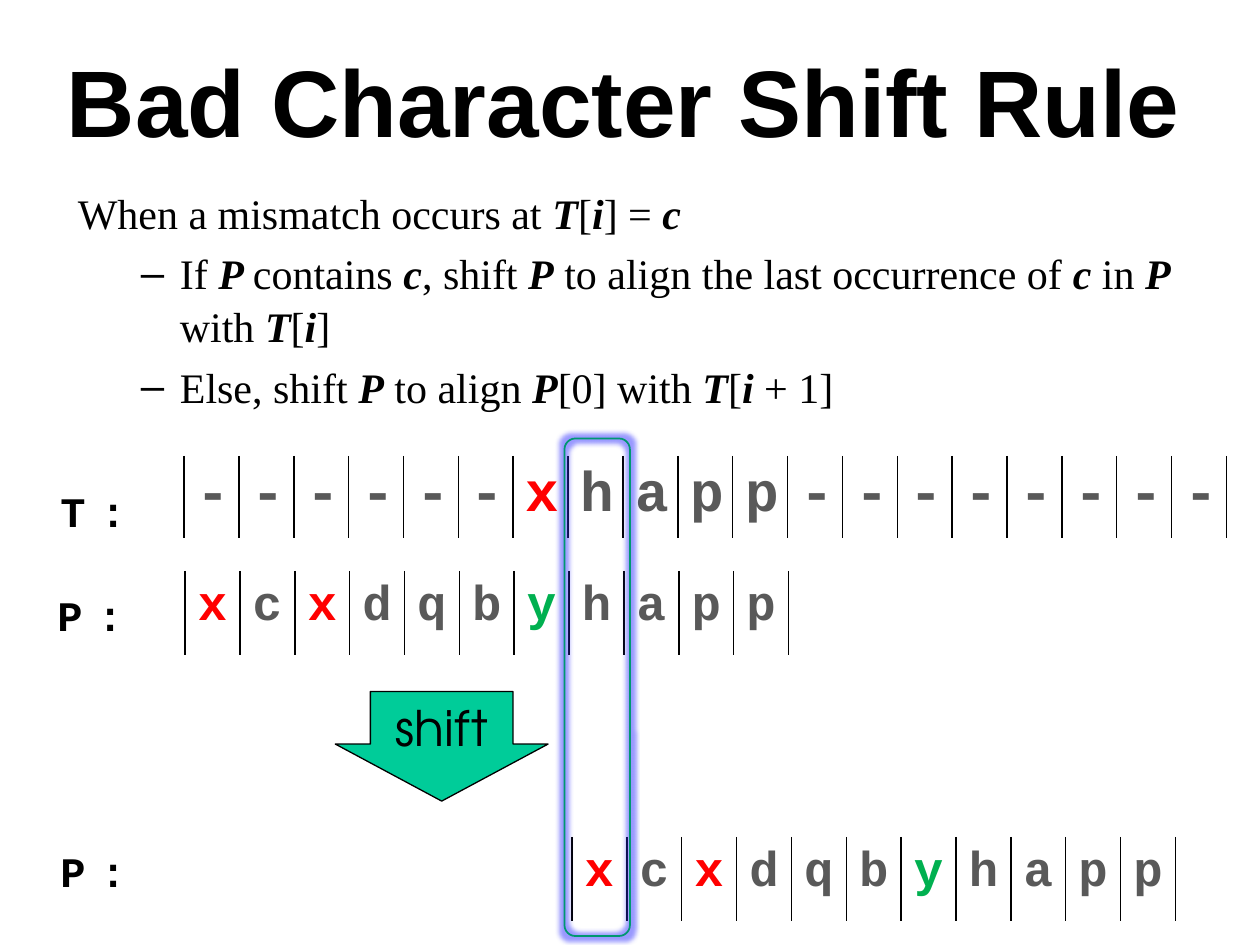
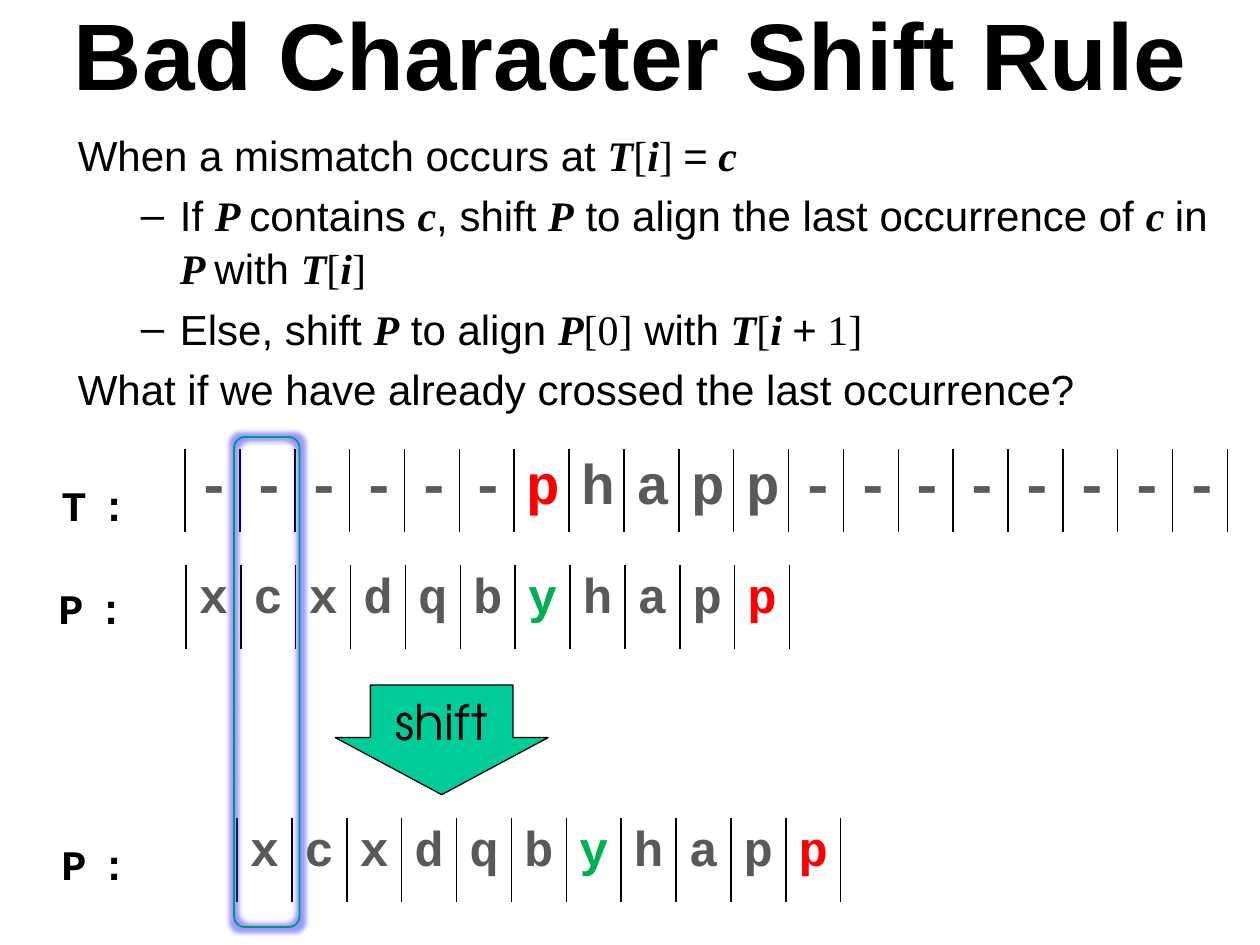
from dataclasses import dataclass

from lxml import etree
from pptx import Presentation
from pptx.dml.color import RGBColor as RGB
from pptx.enum.shapes import MSO_SHAPE as SHAPE
from pptx.enum.text import MSO_ANCHOR as ANCHOR, PP_ALIGN as ALIGN
from pptx.oxml import parse_xml
from pptx.oxml.ns import nsdecls, qn
from pptx.util import Cm, Pt


@dataclass(frozen=True)
class Theme:
    # Colours
    ink: str = "000000"
    letter: str = "595959"
    red: str = "FF0000"
    green: str = "00B050"
    arrow: str = "00CC99"
    frame: str = "009771"
    glow: str = "3333FF"
    # Fonts
    sans: str = "Arial"
    serif: str = "Times New Roman"
    mono: str = "Courier New"
    round: str = "TeX Gyre Adventor"
    # Type sizes and spacing
    title: int = 54
    body: int = 24
    text_row: int = 32
    pattern_row: int = 28
    line_spacing: float = 1.04
    para_gap: float = 4.8


class Deck:
    def __init__(self, theme):
        self.t = theme
        self.prs = Presentation()
        self.prs.slide_width, self.prs.slide_height = Cm(25.4), Cm(19.05)
        self.s = None

    def slide(self):
        self.s = self.prs.slides.add_slide(self.prs.slide_layouts[6])

    def run(self, p, text, size, font, color=None, bold=False, italic=False):
        r = p.add_run()
        r.text = text
        f = r.font
        f.size, f.name, f.bold, f.italic = Pt(size), font, bold, italic
        f.color.rgb = RGB.from_string(color or self.t.ink)
        return r

    def box(self, x, y, w, h, anchor=ANCHOR.TOP):
        tf = self.s.shapes.add_textbox(Cm(x), Cm(y), Cm(w), Cm(h)).text_frame
        tf.word_wrap = True
        tf.vertical_anchor = anchor
        return tf

    def title(self, text, *at):
        p = self.box(*at, anchor=ANCHOR.MIDDLE).paragraphs[0]
        p.alignment = ALIGN.CENTER
        self.run(p, text, self.t.title, self.t.sans, bold=True)

    def body(self, lines, font, *at):
        """Lines are (level, text); *x* is a variable, _x_ is plain serif."""
        t = self.t
        tf = self.box(*at)
        for n, (level, text) in enumerate(lines):
            p = tf.add_paragraph() if n else tf.paragraphs[0]
            p.line_spacing = t.line_spacing
            p.space_before = Pt(t.para_gap if n else 0)
            left, hang = ((0.81, 0.31) if level else (0.38, 0.38))
            pPr = p._p.get_or_add_pPr()
            pPr.set("marL", str(Cm(left * 2.54)))
            pPr.set("indent", str(-Cm(hang * 2.54)))
            if level:
                etree.SubElement(pPr, qn("a:buFont")).set("typeface", t.sans)
                etree.SubElement(pPr, qn("a:buChar")).set("char", "–")
            else:
                etree.SubElement(pPr, qn("a:buNone"))
            for i, part in enumerate(text.split("*")):
                if i % 2:
                    self.run(p, part, t.body, t.serif, bold=True, italic=True)
                    continue
                for j, piece in enumerate(part.split("_")):
                    if piece:
                        self.run(p, piece, t.body, t.serif if j % 2 else font)

    def label(self, text, x, y):
        p = self.box(x, y, 2.13, 1.27).paragraphs[0]
        p.line_spacing = self.t.line_spacing
        r = self.run(p, text, self.t.body, self.t.mono, bold=True)
        r.font._element.set("spc", "850")

    def letters(self, text, x, y, h, size, marks):
        """One-row table, a letter per cell; marks maps index to colour."""
        n, cell_w = len(text), Cm(21.03) // 19
        table = self.s.shapes.add_table(1, n, Cm(x), Cm(y), cell_w * n, Cm(h)).table
        table.first_row = table.horz_banding = False
        table.rows[0].height = Cm(h)
        for i, letter in enumerate(text):
            table.columns[i].width = cell_w
            cell = table.cell(0, i)
            cell.fill.background()
            self.side_borders(cell)
            p = cell.text_frame.paragraphs[0]
            p.alignment = ALIGN.CENTER
            p.line_spacing = self.t.line_spacing
            self.run(p, letter, size, self.t.mono, marks.get(i, self.t.letter), bold=True)

    def side_borders(self, cell):
        solid = f'<a:solidFill><a:srgbClr val="{self.t.ink}"/></a:solidFill>'
        tcPr = cell._tc.get_or_add_tcPr()
        for n, side in enumerate("LRTB"):
            fill = solid if side in "LR" else "<a:noFill/>"
            tcPr.insert(n, parse_xml(
                f'<a:ln{side} {nsdecls("a")} w="12700">{fill}</a:ln{side}>'))

    def shape(self, kind, line, width, *at):
        sp = self.s.shapes.add_shape(kind, *map(Cm, at))
        sp.shadow.inherit = False
        sp.fill.background()
        sp.line.color.rgb = RGB.from_string(line)
        sp.line.width = Pt(width)
        return sp

    def down_arrow(self, text, *at):
        sp = self.shape(SHAPE.DOWN_ARROW, self.t.ink, 0.75, *at)
        sp.adjustments[0], sp.adjustments[1] = 0.67, 0.52
        sp.fill.solid()
        sp.fill.fore_color.rgb = RGB.from_string(self.t.arrow)
        tf = sp.text_frame
        tf.vertical_anchor = ANCHOR.MIDDLE
        p = tf.paragraphs[0]
        p.alignment = ALIGN.CENTER
        self.run(p, text, self.t.pattern_row, self.t.round)

    def highlight(self, *at):
        sp = self.shape(SHAPE.ROUNDED_RECTANGLE, self.t.frame, 1, *at)
        effects = sp._element.spPr.find(qn("a:effectLst"))
        effects.append(parse_xml(
            f'<a:glow {nsdecls("a")} rad="63500"><a:srgbClr val="{self.t.glow}">'
            '<a:alpha val="50000"/></a:srgbClr></a:glow>'))

    def alignment(self, text, text_marks, pattern_marks, shifted, dx=0, dy=0):
        """Text row, pattern row, and the pattern after the shift."""
        t, pattern = self.t, "xcxdqbyhapp"
        self.down_arrow("shift", 6.76, 13.94 + dy, 4.29, 2.21)
        self.letters(text, 3.71 + dx, 9.19 + dy, 1.6, t.text_row, text_marks)
        for x, y in ((3.73 + dx, 11.51 + dy), shifted):
            self.letters(pattern, x, y, 1.7, t.pattern_row, pattern_marks)
        for name, x, y in (("T:", 0.97, 9.63), ("P:", 0.91, 11.71), ("P:", 0.97, 16.87)):
            self.label(name, x + dx, y + dy)


TITLE = "Bad Character Shift Rule"
RULE = [
    (0, "When a mismatch occurs at *T*_[_*i*_] _=* c*"),
    (1, "If *P *contains *c*, shift *P* to align the last occurrence of "
        "*c *in *P *with *T*_[_*i*_]_"),
    (1, "Else, shift *P* to align *P*_[0]_ with *T*_[_*i *+_ 1]_"),
]


def main():
    t = Theme()
    deck = Deck(t)

    # Slide 1: the rule
    deck.slide()
    deck.title(TITLE, 0.91, 0.43, 23.32, 3.18)
    deck.body(RULE, t.serif, 1.32, 3.61, 23.57, 5.03)
    deck.alignment("------xhapp--------", {6: t.red},
                   {0: t.red, 2: t.red, 6: t.green}, (11.53, 16.87))
    deck.highlight(11.38, 8.84, 1.32, 10.03)

    # Slide 2: last occurrence already crossed
    deck.slide()
    deck.title(TITLE, 0.66, 0.13, 24.1, 1.85)
    question = (0, "What if we have already crossed the last occurrence?")
    deck.body(RULE + [question], t.sans, 1.32, 2.44, 23.44, 5.79)
    deck.alignment("------phapp--------", {6: t.red},
                   {6: t.green, 10: t.red}, (4.78, 16.48), dx=0.02, dy=-0.13)
    deck.highlight(4.72, 8.81, 1.32, 9.88)

    deck.prs.save("out.pptx")


if __name__ == "__main__":
    main()
